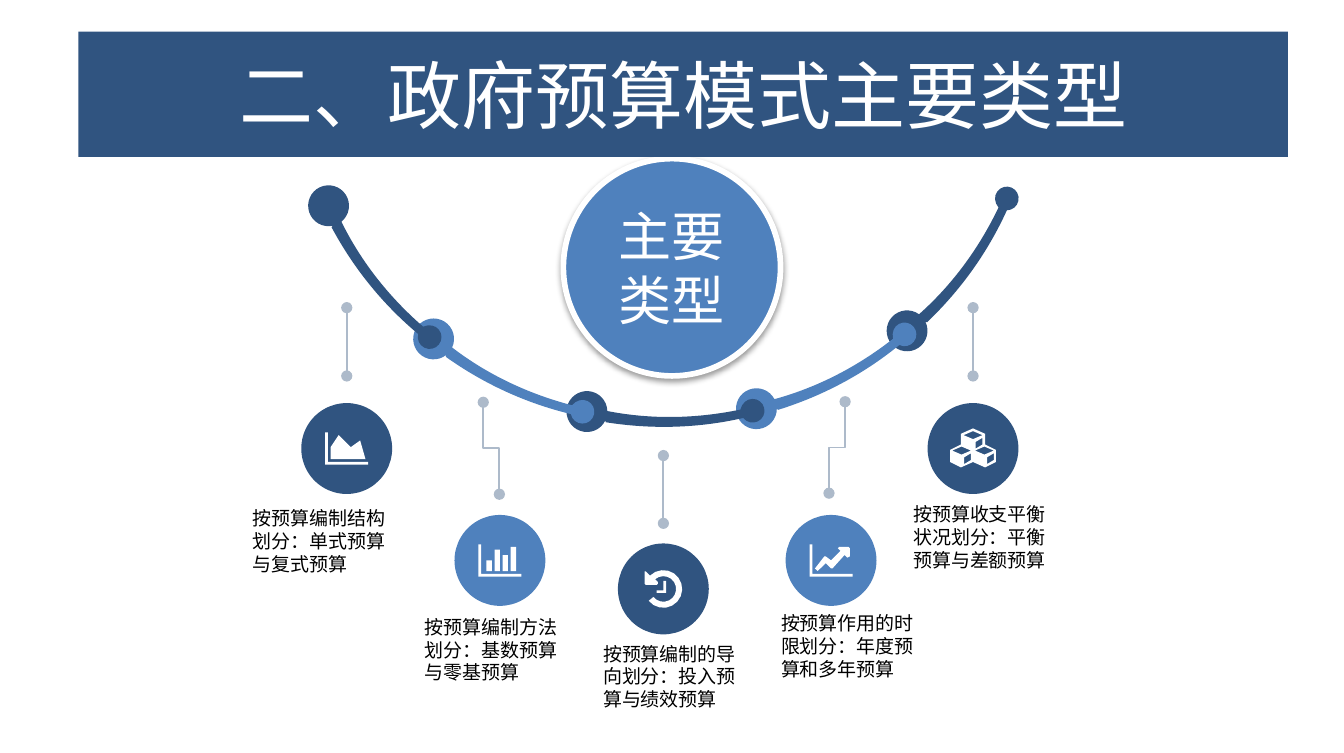
from dataclasses import dataclass
from math import asin, ceil, cos, degrees, radians, sin, tan

from lxml import etree
from pptx import Presentation
from pptx.dml.color import RGBColor
from pptx.enum.shapes import MSO_CONNECTOR, MSO_SHAPE
from pptx.enum.text import MSO_ANCHOR, PP_ALIGN
from pptx.oxml import parse_xml
from pptx.oxml.ns import nsdecls, qn
from pptx.shapes.autoshape import Shape
from pptx.slide import Slide
from pptx.text.text import TextFrame
from pptx.util import Cm, Pt

STRAIGHT, ELBOW = MSO_CONNECTOR.STRAIGHT, MSO_CONNECTOR.ELBOW
OVAL, RECT = MSO_SHAPE.OVAL, MSO_SHAPE.RECTANGLE
MIDDLE, TOP = MSO_ANCHOR.MIDDLE, MSO_ANCHOR.TOP
CENTER, LEFT = PP_ALIGN.CENTER, PP_ALIGN.LEFT

Point = tuple[float, float]
Contour = list[Point]


@dataclass(frozen=True)
class Theme:
    dark: str = "305480"
    light: str = "4F81BD"
    lead: str = "ADBACA"
    white: str = "FFFFFF"
    black: str = "000000"
    heading_font: str = "Calibri"
    label_font: str = "Noto Sans CJK SC"
    title_size: float = 39
    hub_size: float = 28
    label_size: float = 10


THEME = Theme()


@dataclass(frozen=True)
class BudgetType:
    text: str
    color: str
    center: Point
    icon: list[Contour]
    lead: tuple[Point, Point]
    label: tuple[float, float, float]
    font: str = THEME.label_font


def polar(center: Point, radius: float, angle: float) -> Point:
    a = radians(angle)
    return center[0] + radius * cos(a), center[1] + radius * sin(a)


def arc_points(radius: float, start: float, end: float, steps: int = 14) -> Contour:
    return [polar((0, 0), radius, start + (end - start) * i / steps) for i in range(steps + 1)]


def arc_curve(center: Point, radius: float, start: float, end: float) -> Contour:
    count = ceil(abs(end - start) / 90)
    step = (end - start) / count
    pull = radius * 4 / 3 * tan(radians(step / 4))
    points = [polar(center, radius, start)]
    for i in range(count):
        a, b = start + step * i, start + step * (i + 1)
        tip = polar(center, radius, b)
        points += [polar(points[-1], pull, a + 90), polar(tip, -pull, b + 90), tip]
    return points


AXIS = [(-16, -12), (-14, -12), (-14, 10), (16, 10), (16, 12), (-16, 12)]
AREA_ICON = [AXIS, [(14, 8), (-12, 8), (-12, -1), (-6, -10), (3, -1), (10, -6)]]
BARS_ICON = [AXIS] + [
    [(x, 8), (x, top), (x + 4, top), (x + 4, 8)]
    for x, top in zip(range(-10, 14, 6), (0, -8, -4, -10))
]
TREND_ICON = [AXIS, [
    (14, -3), (12, -2), (10, -4), (1, 6), (0, 6), (-4, 2), (-10, 8), (-12, 6),
    (-5, -3), (-4, -3), (0, 0), (7, -7), (5, -9), (6, -10), (13, -10), (14, -9),
]]
REWIND_HEAD = [(-13, -13), (-14, -13), (-14, -4), (-13, -3), (-5, -3), (-4, -4), (-4, -5)]
CLOCK_ICON = [
    arc_points(14, 141, -135) + REWIND_HEAD + arc_points(9.5, -130, 141),
    [(2, 3), (-5, 3), (-5, 1), (0, 1), (0, -6), (2, -6)],
]
CUBE_FACES = [[(0, -7), (7, -4), (0, -1), (-7, -4)], [(2, 1), (7, -2), (7, 3), (2, 6)]]
CUBES_ICON = [[
    (0, -15), (9, -11), (9, -3), (17, 1), (17, 10), (9, 14),
    (0, 10), (-9, 14), (-17, 10), (-17, 1), (-9, -3), (-9, -11),
]] + [
    [(x + cx, y + cy) for x, y in face]
    for cx, cy in ((0, -6), (-8.5, 5.5), (8.5, 5.5)) for face in CUBE_FACES
]
ICON_UNIT = 0.025
MEDALLION = 1.69

BUDGET_TYPES = [
    BudgetType("按预算编制结构划分：单式预算与复式预算", THEME.dark, (6.45, 8.34), AREA_ICON,
               ((6.45, 5.72), (6.45, 6.99)), (4.7, 9.42, 2.64), "Arial"),
    BudgetType("按预算编制方法划分：基数预算与零基预算", THEME.light, (9.3, 10.42), BARS_ICON,
               ((8.99, 7.48), (9.29, 9.19)), (7.9, 11.44, 2.51)),
    BudgetType("按预算编制的导向划分：投入预算与绩效预算", THEME.dark, (12.34, 10.95), CLOCK_ICON,
               ((12.34, 8.47), (12.34, 9.73)), (11.22, 11.94, 2.67)),
    BudgetType("按预算作用的时限划分：年度预算和多年预算", THEME.light, (15.46, 10.42), TREND_ICON,
               ((15.72, 7.47), (15.42, 9.17)), (14.53, 11.37, 2.54)),
    BudgetType("按预算收支平衡状况划分：平衡预算与差额预算", THEME.dark, (18.1, 8.34), CUBES_ICON,
               ((18.1, 5.72), (18.1, 6.99)), (16.99, 9.35, 2.74)),
]

SWING_CENTER, SWING_RADIUS = (12.38, 0.89), 6.96
BIG_ORBIT, SMALL_ORBIT = 6.92, 6.94
SWING_START, SWING_STEP, LINK_SPAN = 154.9, 26.35, 25.7
BIG_DOT, SMALL_DOT, HALF_BAND = 0.38, 0.22, 0.09


def link_outline(start: float) -> Contour:
    end = start - LINK_SPAN
    big, small = polar(SWING_CENTER, BIG_ORBIT, start), polar(SWING_CENTER, SMALL_ORBIT, end)
    big_gap, small_gap = (degrees(asin(HALF_BAND / r)) for r in (BIG_DOT, SMALL_DOT))
    band = [start - degrees(BIG_DOT / SWING_RADIUS), end + degrees(SMALL_DOT / SWING_RADIUS)]
    first, *others = (
        arc_curve(big, BIG_DOT, start - 90 + big_gap, start + 270 - big_gap),
        arc_curve(SWING_CENTER, SWING_RADIUS - HALF_BAND, *band),
        arc_curve(small, SMALL_DOT, end + 90 + small_gap, end + 450 - small_gap),
        arc_curve(SWING_CENTER, SWING_RADIUS + HALF_BAND, *reversed(band)),
    )
    return first + [point for curve in others for point in curve[1:]]


def paint(sp: Shape, color: str) -> None:
    sp.shadow.inherit = False
    sp.fill.solid()
    sp.fill.fore_color.rgb = RGBColor.from_string(color)
    sp.line.fill.background()


def add_outline(s: Slide, contours: list[Contour], color: str) -> Shape:
    first, *others = [[(Cm(x), Cm(y)) for x, y in contour] for contour in contours]
    builder = s.shapes.build_freeform(*first[0], scale=1.0)
    builder.add_line_segments(first[1:], close=True)
    for contour in others:
        builder.move_to(*contour[0])
        builder.add_line_segments(contour[1:], close=True)
    sp = builder.convert_to_shape()
    paint(sp, color)
    return sp


def bend(sp: Shape) -> None:
    segments = list(sp.element.iter(qn("a:lnTo")))
    for first, second, third in zip(*[iter(segments)] * 3):
        first.tag = qn("a:cubicBezTo")
        for segment in (second, third):
            first.append(segment[0])
            segment.getparent().remove(segment)


def add_block(s: Slide, kind: MSO_SHAPE, x: float, y: float, w: float, h: float, color: str) -> Shape:
    sp = s.shapes.add_shape(kind, Cm(x), Cm(y), Cm(w), Cm(h))
    paint(sp, color)
    return sp


def write(tf: TextFrame, text: str, font: str, size: float, color: str,
          align: PP_ALIGN = CENTER, anchor: MSO_ANCHOR = MIDDLE, margin: float = 0.1) -> None:
    tf.word_wrap = True
    tf.vertical_anchor = anchor
    tf.margin_left = tf.margin_right = tf.margin_top = tf.margin_bottom = Cm(margin)
    p = tf.paragraphs[0]
    p.alignment = align
    r = p.add_run()
    r.text = text
    r.font.name, r.font.size = font, Pt(size)
    r.font.color.rgb = RGBColor.from_string(color)


def add_lead(s: Slide, begin: Point, end: Point) -> None:
    dx, dy = end[0] - begin[0], end[1] - begin[1]
    kind, rotation = STRAIGHT, 0
    if dx:
        turn = 1 if dx < 0 else -1
        kind, rotation = ELBOW, 90 * turn % 360
        mx, my = begin[0] + dx / 2, begin[1] + dy / 2
        hx, hy = turn * dy / 2, -turn * dx / 2
        begin, end = (mx - hx, my - hy), (mx + hx, my + hy)
    line = s.shapes.add_connector(kind, *(Cm(v) for v in begin + end))
    line.line.color.rgb = RGBColor.from_string(THEME.lead)
    line.line.width = Pt(1)
    props = line.element.spPr
    if rotation:
        props.get_or_add_xfrm().set("rot", str(rotation * 60000))
    for tag in ("a:headEnd", "a:tailEnd"):
        etree.SubElement(props.find(qn("a:ln")), qn(tag), type="oval")
    etree.SubElement(props, qn("a:effectLst"))


def add_hub(s: Slide) -> None:
    sp = add_block(s, OVAL, 10.48, 2.95, 4.04, 4.04, THEME.light)
    sp.line.color.rgb = RGBColor.from_string(THEME.white)
    sp.line.width = Pt(3)
    sp.element.spPr.find(qn("a:effectLst")).append(parse_xml(
        f'<a:outerShdw {nsdecls("a")} blurRad="{Pt(3.1)}" dist="{Pt(1.6)}" dir="5400000">'
        f'<a:srgbClr val="{THEME.black}"><a:alpha val="38000"/></a:srgbClr></a:outerShdw>'))
    write(sp.text_frame, "主要类型", THEME.heading_font, THEME.hub_size, THEME.white)


def main() -> None:
    prs = Presentation()
    prs.slide_width, prs.slide_height = Cm(25), Cm(14)
    s = prs.slides.add_slide(prs.slide_layouts[6])
    for i, kind in reversed(list(enumerate(BUDGET_TYPES))):
        bend(add_outline(s, [link_outline(SWING_START - SWING_STEP * i)], kind.color))
    for kind in BUDGET_TYPES:
        add_lead(s, *kind.lead)
        cx, cy = kind.center
        add_block(s, OVAL, cx - MEDALLION / 2, cy - MEDALLION / 2, MEDALLION, MEDALLION, kind.color)
        add_outline(s, [[(cx + x * ICON_UNIT, cy + y * ICON_UNIT) for x, y in contour]
                        for contour in kind.icon], THEME.white)
        x, y, width = kind.label
        box = s.shapes.add_textbox(Cm(x), Cm(y), Cm(width), Cm(1.27))
        write(box.text_frame, kind.text, kind.font, THEME.label_size, THEME.black, LEFT, TOP, 0)
    add_hub(s)
    title = add_block(s, RECT, 1.46, 0.59, 22.5, 2.33, THEME.dark)
    write(title.text_frame, "二、政府预算模式主要类型", THEME.heading_font, THEME.title_size, THEME.white)
    prs.save("out.pptx")


if __name__ == "__main__":
    main()
